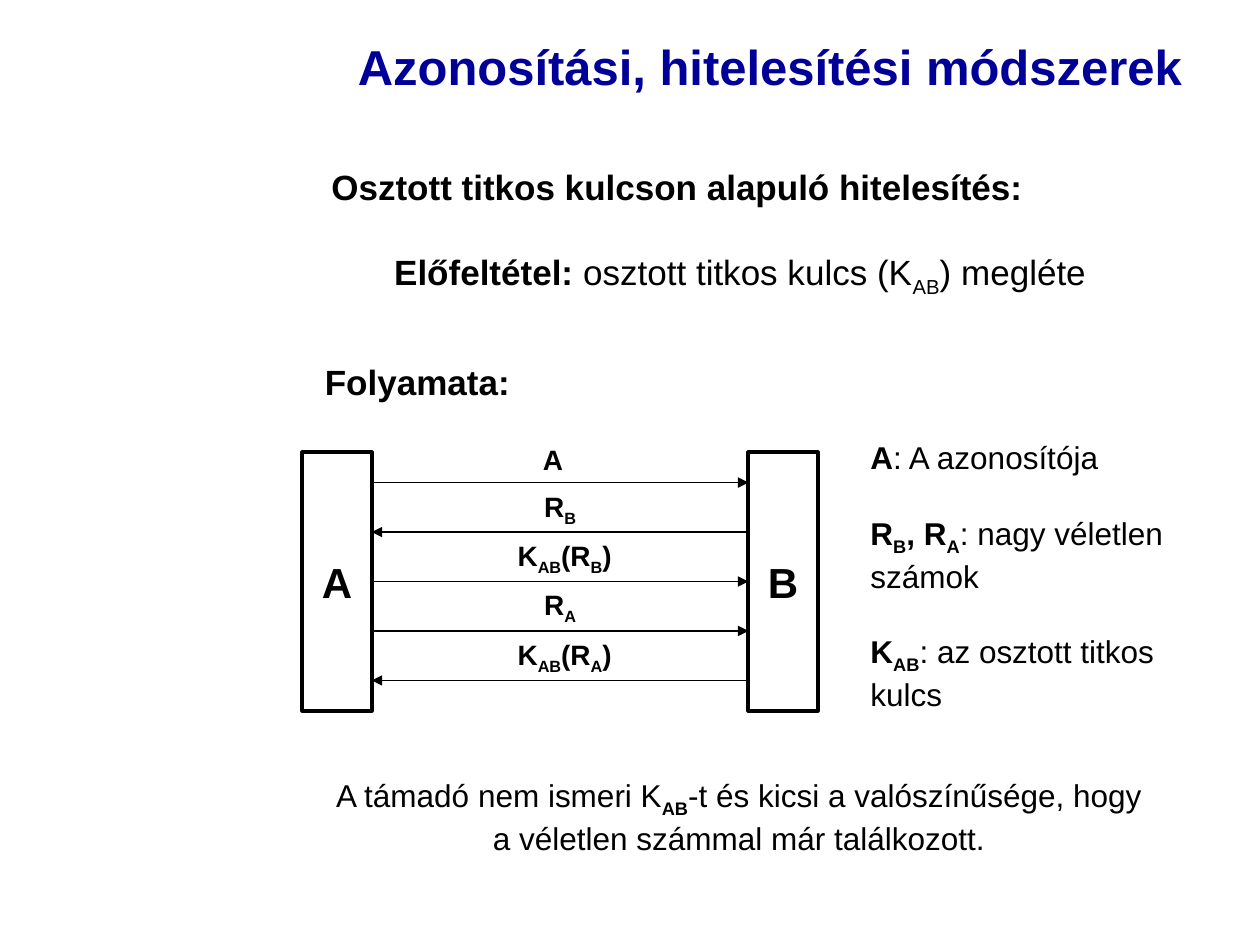
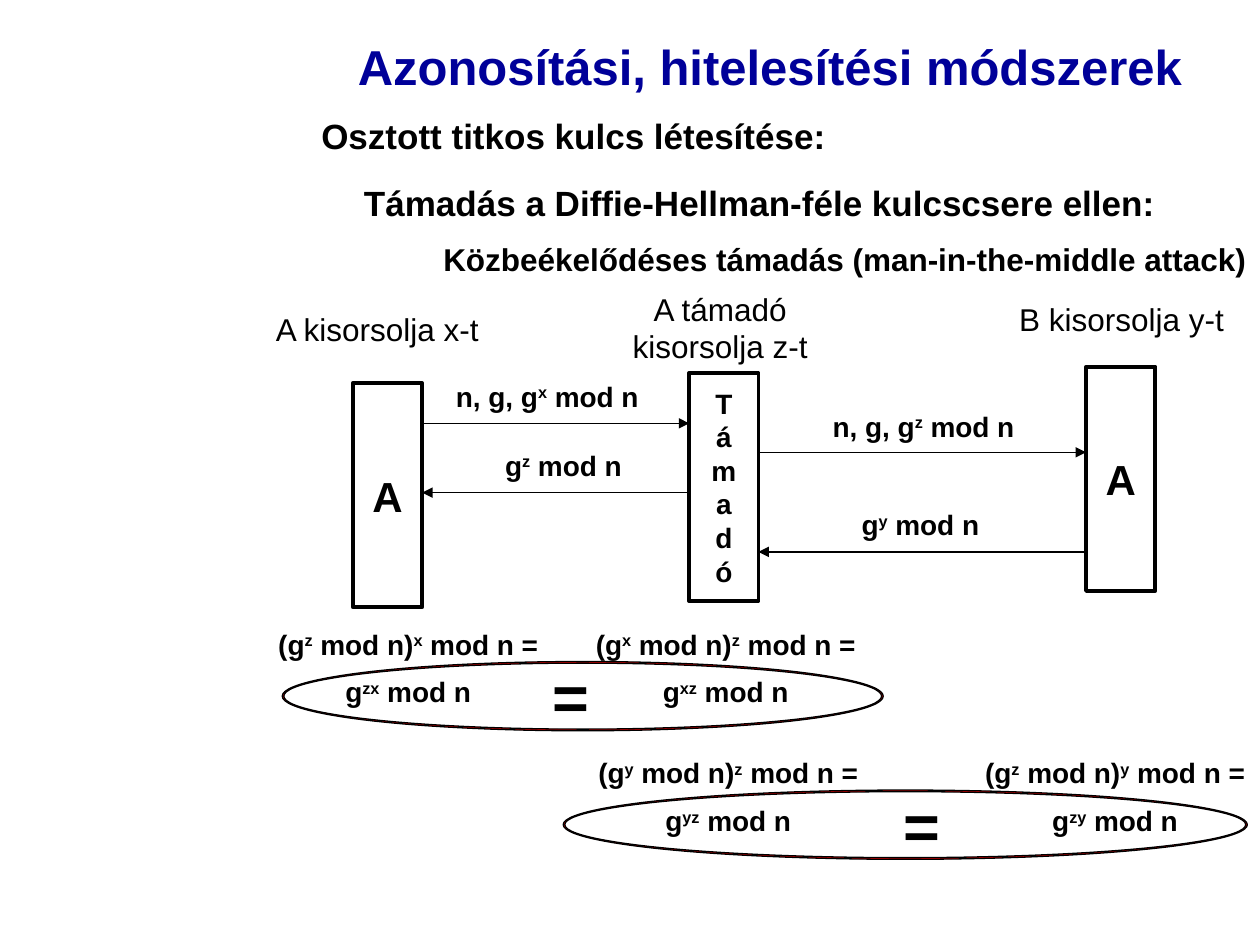
from itertools import groupby

from lxml.etree import SubElement
from pptx import Presentation
from pptx.dml.color import RGBColor
from pptx.enum.shapes import MSO_CONNECTOR, MSO_SHAPE
from pptx.enum.text import MSO_ANCHOR, MSO_AUTO_SIZE, PP_ALIGN
from pptx.oxml.ns import qn
from pptx.util import Inches, Pt

COLOURS = {"title": "000099", "ink": "000000", "ring": "FF0000"}
FONT = "Arial"
LEFT, CENTER = PP_ALIGN.LEFT, PP_ALIGN.CENTER
BAR_WIDTH = 0.55

# Markup in texts: *bold*, _subscript_, ^superscript^
BASELINES = {"_": -25000, "^": 30000}

TITLE = "*Azonosítási, hitelesítési módszerek*"
TITLE_BOX = (2.72, 0.21, 6.78, 0.63)

# Shared-key authentication: (box, size, text)
SHARED_KEY_HEADING = ((2.63, 1.31, 5.6, 0.39), "*Osztott titkos kulcson alapuló hitelesítés:*")
SHARED_KEY_LINES = [
    ((3.03, 1.94, 5.69, 0.48), 20, "*Előfeltétel: *osztott titkos kulcs (K_AB_) megléte"),
    ((2.48, 2.81, 1.67, 0.44), 20, "*Folyamata:*"),
]
PARTIES = [("*A*", 2.4), ("*B*", 5.94)]
PARTY_TOP, PARTY_HEIGHT = 3.59, 2.05
FIRST_MESSAGE_Y, LAST_MESSAGE_Y = 3.83, 5.4
# (label, label left, label width, sent by A)
MESSAGES = [
    ("*A*", 4.21, 0.36, True),
    ("*R_B_*", 4.22, 0.45, False),
    ("*K_AB_(R_B_)*", 4.01, 0.94, True),
    ("*R_A_*", 4.22, 0.45, True),
    ("*K_AB_(R_A_)*", 4.01, 0.94, False),
]
LEGEND_BOX = (6.81, 3.43, 2.89, 2.28)
LEGEND = [
    "*A*: A azonosítója",
    "*R_B_, R_A_*: nagy véletlen számok",
    "*K_AB_*: az osztott titkos kulcs",
]
CONCLUSION_BOX = (2.48, 6.11, 6.77, 0.74)
CONCLUSION = ("A támadó nem ismeri K*_AB_*-t és kicsi a valószínűsége, "
              "hogy a véletlen számmal már találkozott.")

# Man-in-the-middle attack
ATTACK_HEADING = ((2.55, 0.91, 4.1, 0.39), "*Osztott titkos kulcs létesítése:*")
ATTACK_LINES = [
    ((2.79, 1.39, 6.48, 0.44), 20, "*Támadás a Diffie-Hellman-féle kulcscsere ellen:*"),
    ((3.42, 1.86, 6.57, 0.4), 18, "*Közbeékelődéses támadás (man-in-the-middle attack)*"),
    ((2.09, 2.41, 1.82, 0.4), 18, "A kisorsolja x-t"),
    ((7.99, 2.33, 1.82, 0.4), 18, "B kisorsolja y-t"),
]
ATTACKER_NOTE_BOX = (4.92, 2.25, 1.59, 0.7)
ATTACKER_NOTE = ["A támadó", "kisorsolja z-t"]
# (lines, size, left, top, height)
ATTACK_PARTIES = [
    (["*A*"], 24, 2.8, 3.04, 1.78),
    ([f"*{letter}*" for letter in "Támadó"], 16, 5.47, 2.96, 1.81),
    (["*A*"], 24, 8.62, 2.91, 1.78),
]
# (label, label left, label top, label width, sender, receiver, arrow y)
ATTACK_MESSAGES = [
    ("*n, g, g^x^ mod n*", 3.52, 2.96, 1.65, 0, 1, 3.36),
    ("*g^z^ mod n*", 3.91, 3.51, 1.12, 1, 0, 3.91),
    ("*n, g, g^z^ mod n*", 6.51, 3.2, 1.64, 1, 2, 3.59),
    ("*g^y^ mod n*", 6.74, 3.98, 1.13, 2, 1, 4.38),
]
# (top, [(left, inner exponent, outer exponent)], equals sign left, ring left, ring width)
KEY_EQUATIONS = [
    (4.93, [(2.11, "z", "x"), (4.63, "x", "z")], 4.29, 2.24, 4.77),
    (5.95, [(4.65, "y", "z"), (7.72, "z", "y")], 7.07, 4.47, 5.43),
]


def colour(name):
    return RGBColor.from_string(COLOURS[name])


def parse(marked):
    """Split marked text into (text, bold, baseline) pieces."""
    bold, baseline, styled = False, 0, []
    for character in marked:
        if character == "*":
            bold = not bold
        elif character in BASELINES:
            baseline = 0 if baseline else BASELINES[character]
        else:
            styled.append((character, bold, baseline))
    return [("".join(item[0] for item in group), *style)
            for style, group in groupby(styled, key=lambda item: item[1:])]


def write(frame, lines, size, align=LEFT, ink="ink", gap=0):
    for index, line in enumerate(lines):
        paragraph = frame.add_paragraph() if index else frame.paragraphs[0]
        paragraph.alignment = align
        if index and gap:
            paragraph.space_before = Pt(gap)
        font = paragraph.font
        font.name, font.size = FONT, Pt(size)
        font.color.rgb = colour(ink)
        pieces = parse(line)
        uniform = len({bold for _, bold, _ in pieces}) == 1
        if uniform:
            font.bold = pieces[0][1]
        for text, bold, baseline in pieces:
            run = paragraph.add_run()
            run.text = text
            if not uniform:
                run.font.bold = bold
            if baseline:
                run._r.get_or_add_rPr().set("baseline", str(baseline))


def add_text(slide, box, lines, size, align=LEFT, tight=True, **style):
    """Add a text box; a tight one gives its side margins to the text as slack."""
    frame = slide.shapes.add_textbox(*map(Inches, box)).text_frame
    frame.word_wrap = True
    frame.auto_size = MSO_AUTO_SIZE.NONE
    if tight:
        frame.margin_right = 0
        if align == CENTER:
            frame.margin_left = 0
    write(frame, lines, size, align, **style)
    return frame


def add_outlined(slide, kind, box, line_width):
    shape = slide.shapes.add_shape(kind, *map(Inches, box))
    shape.shadow.inherit = False
    shape.fill.background()
    shape.line.color.rgb = colour("ink")
    shape.line.width = Pt(line_width)
    return shape


def add_party(slide, lines, size, left, top, height):
    bar = add_outlined(slide, MSO_SHAPE.RECTANGLE, (left, top, BAR_WIDTH, height), 2.25)
    frame = bar.text_frame
    frame.word_wrap = False
    frame.vertical_anchor = MSO_ANCHOR.MIDDLE
    write(frame, lines, size, CENTER)
    return bar


def add_message(slide, sender, receiver, y):
    """Draw an arrow at height y between the facing sides of two bars."""
    rightward = sender.left < receiver.left
    start = sender.left + sender.width if rightward else sender.left
    end = receiver.left if rightward else receiver.left + receiver.width
    arrow = slide.shapes.add_connector(
        MSO_CONNECTOR.STRAIGHT, start, Inches(y), end, Inches(y))
    if all(abs(bar.top + bar.height // 2 - Inches(y)) < Inches(0.02)
           for bar in (sender, receiver)):
        arrow.begin_connect(sender, 3 if rightward else 1)
        arrow.end_connect(receiver, 1 if rightward else 3)
    arrow.line.color.rgb = colour("ink")
    arrow.line.width = Pt(0.75)
    SubElement(arrow.line._get_or_add_ln(), qn("a:tailEnd"), type="triangle")
    SubElement(arrow._element.spPr, qn("a:effectLst"))


def add_base_slide(presentation, heading, lines):
    slide = presentation.slides.add_slide(presentation.slide_layouts[6])
    title = add_text(slide, TITLE_BOX, [TITLE], 28, CENTER, tight=False, ink="title")
    title.vertical_anchor = MSO_ANCHOR.MIDDLE
    box, text = heading
    frame = add_text(slide, box, [text], 20)
    frame.margin_left = frame.margin_top = 0
    for box, size, text in lines:
        add_text(slide, box, [text], size)
    return slide


def build_shared_key(presentation):
    slide = add_base_slide(presentation, SHARED_KEY_HEADING, SHARED_KEY_LINES)
    a, b = [add_party(slide, [name], 24, left, PARTY_TOP, PARTY_HEIGHT)
            for name, left in PARTIES]
    step = (LAST_MESSAGE_Y - FIRST_MESSAGE_Y) / (len(MESSAGES) - 1)
    for index, (label, left, width, from_a) in enumerate(MESSAGES):
        y = FIRST_MESSAGE_Y + index * step
        add_message(slide, *((a, b) if from_a else (b, a)), y)
        rise, height = (0.39, 0.41) if index else (0.37, 0.37)
        add_text(slide, (left, y - rise, width, height), [label], 16)
    add_text(slide, LEGEND_BOX, LEGEND, 18, tight=False, gap=21.5)
    add_text(slide, CONCLUSION_BOX, [CONCLUSION], 18, CENTER, tight=False)


def build_attack(presentation):
    slide = add_base_slide(presentation, ATTACK_HEADING, ATTACK_LINES)
    add_text(slide, ATTACKER_NOTE_BOX, ATTACKER_NOTE, 18, CENTER)
    bars = [add_party(slide, *party) for party in ATTACK_PARTIES]
    for label, left, top, width, sender, receiver, y in ATTACK_MESSAGES:
        add_message(slide, bars[sender], bars[receiver], y)
        add_text(slide, (left, top, width, 0.37), [label], 16)
    for top, sides, equals_left, ring_left, ring_width in KEY_EQUATIONS:
        for left, inner, outer in sides:
            formula = [f"*(g^{inner}^ mod n)^{outer}^ mod n =*", f"*g^{inner}{outer}^ mod n*"]
            add_text(slide, (left, top, 2.26, 0.75), formula, 16, CENTER, gap=8)
        add_text(slide, (equals_left, top + 0.24, 0.49, 0.7), ["*=*"], 36)
        ring = add_outlined(slide, MSO_SHAPE.DONUT,
                            (ring_left, top + 0.32, ring_width, 0.55), 0.75)
        ring.adjustments[0] = 0.024
        ring.fill.solid()
        ring.fill.fore_color.rgb = colour("ring")


def main():
    presentation = Presentation()
    presentation.slide_width, presentation.slide_height = Inches(10), Inches(7.5)
    build_shared_key(presentation)
    build_attack(presentation)
    presentation.save("out.pptx")


if __name__ == "__main__":
    main()
